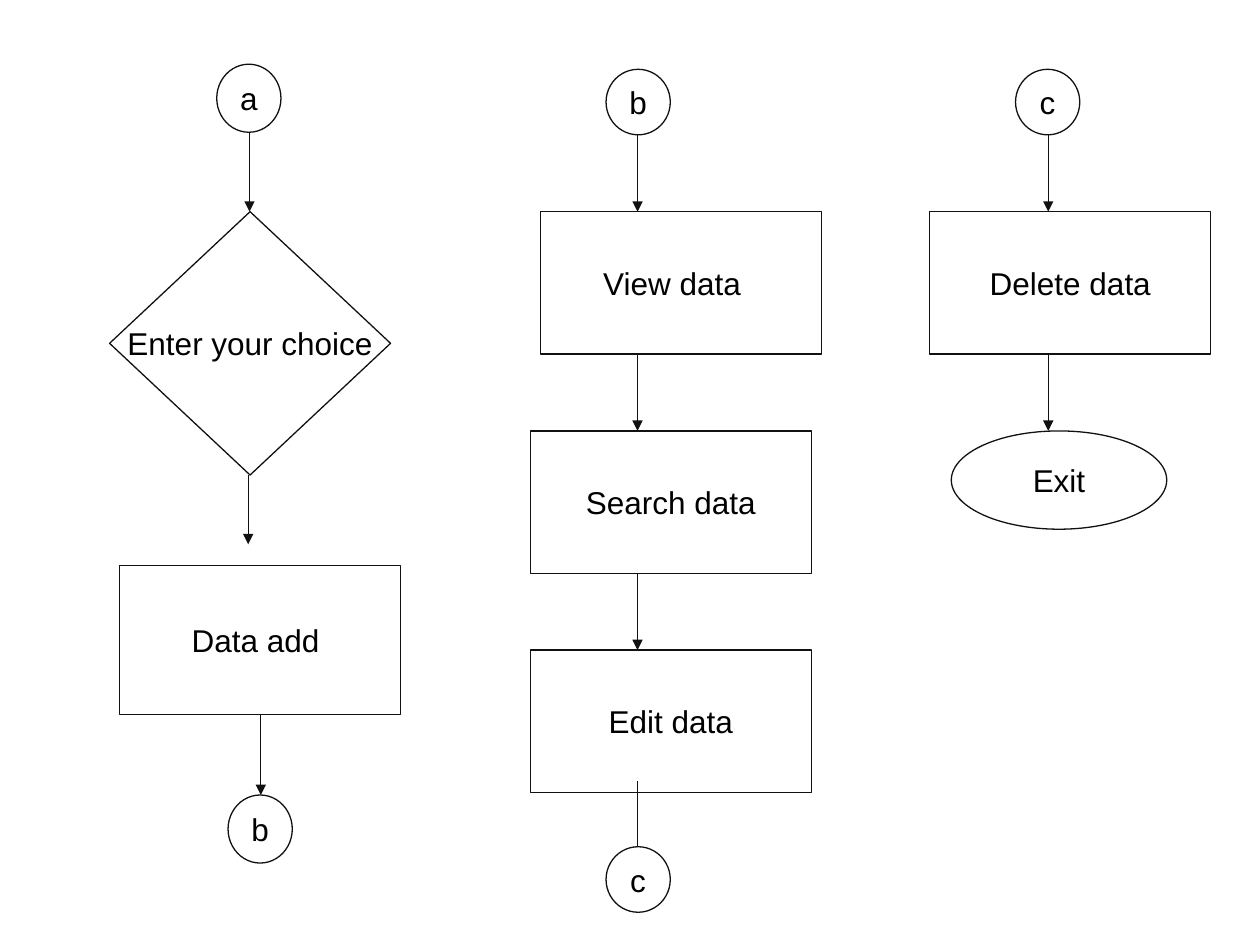
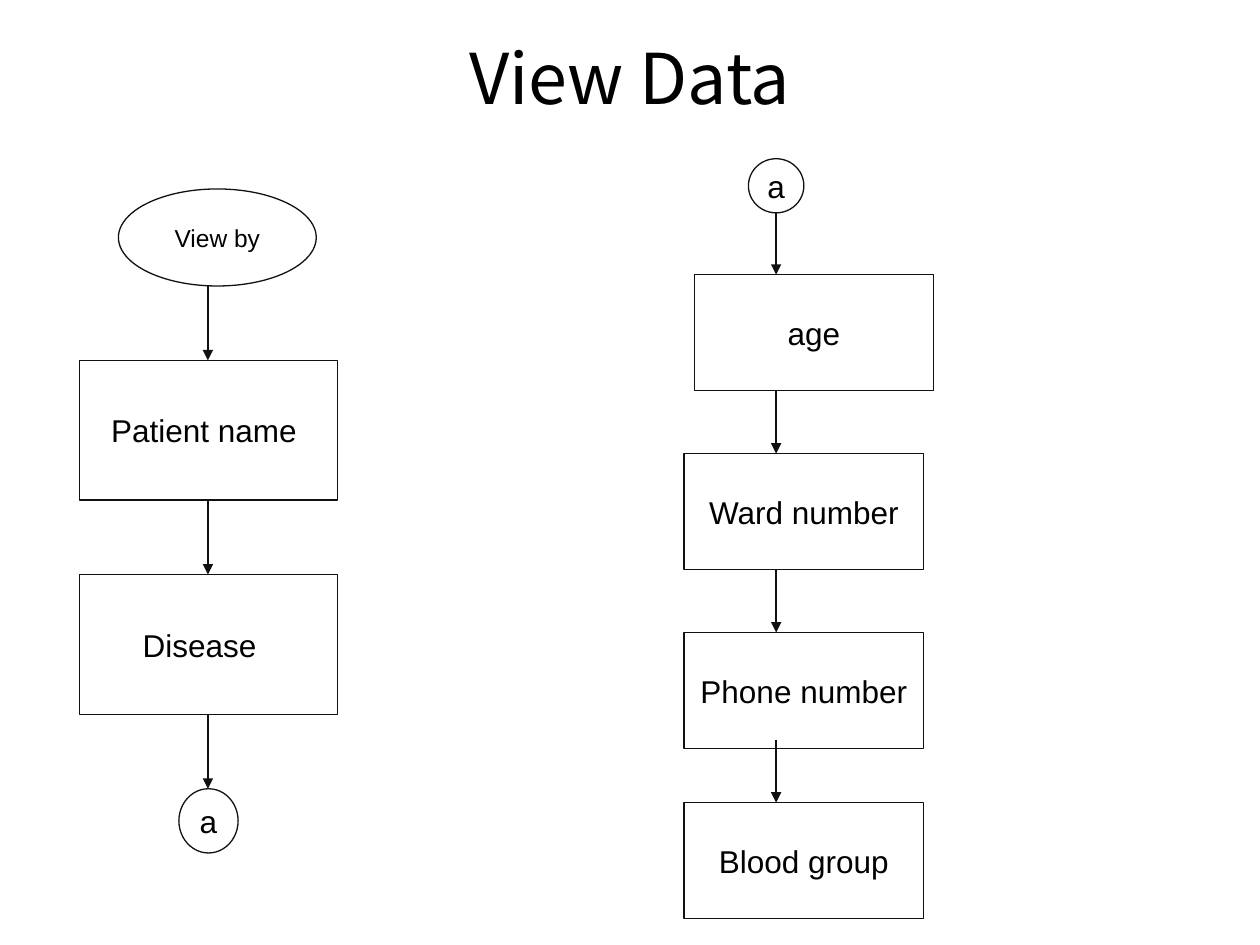
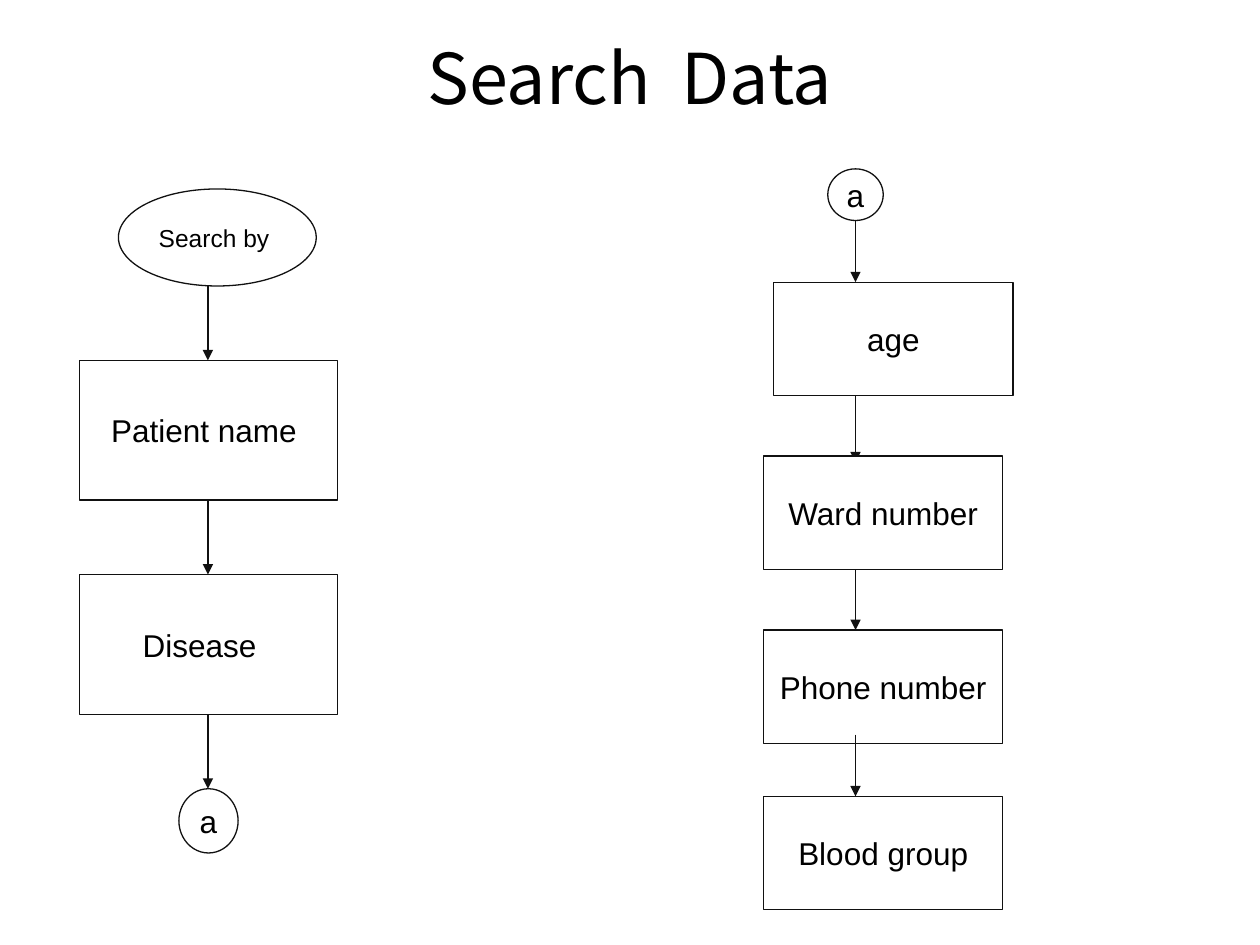
from dataclasses import dataclass

from lxml.etree import SubElement
from pptx import Presentation
from pptx.dml.color import RGBColor
from pptx.enum.shapes import MSO_CONNECTOR, MSO_SHAPE
from pptx.enum.text import MSO_ANCHOR, PP_ALIGN
from pptx.oxml.ns import qn
from pptx.util import Inches, Pt

BOX, OVAL, DIAMOND = MSO_SHAPE.RECTANGLE, MSO_SHAPE.OVAL, MSO_SHAPE.DIAMOND


@dataclass(frozen=True)
class Theme:
    fill: RGBColor = RGBColor(0xFF, 0xFF, 0xFF)
    line: RGBColor = RGBColor(0x11, 0x11, 0x11)
    text: RGBColor = RGBColor(0, 0, 0)
    line_width: float = 0.75
    body_font: str = "Arial"
    title_font: str = "Noto Sans CJK KR"
    title_size: int = 40
    body_size: int = 18
    small_size: int = 14
    inset: float = 0.1


@dataclass
class Step:
    """A flowchart node; the arrow fields adjust the arrow that leads into it."""
    kind: MSO_SHAPE
    text: str
    left: float
    top: float
    width: float
    height: float
    size: int = Theme.body_size
    pad_right: float = 0
    arrow_x: float = 0
    start_shift: float = 0
    tip_shift: float = 0


class Flowchart:
    def __init__(self, prs, theme):
        self.prs, self.theme = prs, theme
        self.slide = None

    def new_slide(self):
        self.slide = self.prs.slides.add_slide(self.prs.slide_layouts[6])

    def label(self, tf, text, font, size):
        tf.vertical_anchor = MSO_ANCHOR.MIDDLE
        p = tf.paragraphs[0]
        p.text = text
        p.alignment = PP_ALIGN.CENTER
        p.font.name, p.font.size = font, Pt(size)
        p.font.color.rgb = self.theme.text

    def title(self, text):
        sp = self.slide.shapes.add_textbox(0, Inches(0.02), self.prs.slide_width, Inches(1.17))
        tf = sp.text_frame
        tf.word_wrap = True
        tf.margin_left = tf.margin_right = tf.margin_top = tf.margin_bottom = 0
        self.label(tf, text, self.theme.title_font, self.theme.title_size)

    def stroke(self, line):
        line.color.rgb = self.theme.line
        line.width = Pt(self.theme.line_width)

    def node(self, step):
        sp = self.slide.shapes.add_shape(
            step.kind, Inches(step.left), Inches(step.top), Inches(step.width), Inches(step.height))
        sp.shadow.inherit = False
        sp.fill.solid()
        sp.fill.fore_color.rgb = self.theme.fill
        self.stroke(sp.line)
        tf = sp.text_frame
        tf.word_wrap = False
        tf.margin_right = Inches(self.theme.inset + step.pad_right)
        self.label(tf, step.text, self.theme.body_font, step.size)

    def arrow(self, x, start, tip):
        c = self.slide.shapes.add_connector(
            MSO_CONNECTOR.STRAIGHT, Inches(x), Inches(start), Inches(x), Inches(tip))
        self.stroke(c.line)
        sp_pr = c._element.spPr
        SubElement(sp_pr.find(qn("a:ln")), qn("a:tailEnd"), type="triangle")
        SubElement(sp_pr, qn("a:effectLst"))

    def flow(self, x, steps):
        """Draw steps downwards, each joined to the one before by an arrow at x."""
        self.node(steps[0])
        for prev, step in zip(steps, steps[1:]):
            self.arrow(step.arrow_x or x,
                       prev.top + prev.height + step.start_shift, step.top + step.tip_shift)
            self.node(step)


def menu_slide(chart):
    chart.new_slide()
    tall, low = (0.51, 0.54), (0.51, 0.52)
    box = (2.23, 1.13)
    chart.flow(1.98, [
        Step(OVAL, "a", 1.72, 0.51, *tall),
        Step(DIAMOND, "Enter your choice", 0.87, 1.68, 2.23, 2.09),
        Step(BOX, "Data add", 0.95, 4.49, 2.23, 1.18, pad_right=0.07,
             arrow_x=1.97, tip_shift=-0.17),
        Step(OVAL, "b", 1.81, 6.31, *tall, arrow_x=2.07),
    ])
    chart.flow(5.06, [
        Step(OVAL, "b", 4.81, 0.55, *low),
        Step(BOX, "View data", 4.29, 1.68, *box, pad_right=0.14),
        Step(BOX, "Search data", 4.21, 3.42, *box),
        Step(BOX, "Edit data", 4.21, 5.16, *box),
        Step(OVAL, "c", 4.81, 6.72, *low, start_shift=-0.09, tip_shift=0.09),
    ])
    chart.flow(8.32, [
        Step(OVAL, "c", 8.06, 0.55, *low),
        Step(BOX, "Delete data", 7.38, 1.68, *box),
        Step(OVAL, "Exit", 7.55, 3.42, 1.71, 0.78),
    ])


def fields_slide(chart, title, start, start_pad, left, circle, age_top, pitch,
                 box_height, blood_top, ward_tip=0):
    """List the patient fields; circle is the top and height of the right-hand connector."""
    chart.new_slide()
    chart.title(title)
    chart.flow(1.65, [
        Step(OVAL, start, 0.94, 1.5, 1.57, 0.77, size=chart.theme.small_size,
             pad_right=start_pad),
        Step(BOX, "Patient name", 0.63, 2.86, 2.05, 1.11, pad_right=0.07),
        Step(BOX, "Disease", 0.63, 4.56, 2.05, 1.11, pad_right=0.14),
        Step(OVAL, "a", 1.42, 6.26, 0.47, 0.51),
    ])
    circle_top, circle_height = circle
    box = (1.9, box_height)
    chart.flow(left + 0.73, [
        Step(OVAL, "a", left + 0.51, circle_top, 0.44, circle_height),
        Step(BOX, "age", left + 0.08, age_top, *box),
        Step(BOX, "Ward number", left, age_top + pitch, *box, tip_shift=ward_tip),
        Step(BOX, "Phone number", left, age_top + 2 * pitch, *box),
        Step(BOX, "Blood group", left, blood_top, *box, start_shift=-0.07),
    ])


def main():
    prs = Presentation()
    prs.slide_width, prs.slide_height = Inches(10), Inches(7.5)
    chart = Flowchart(prs, Theme())
    menu_slide(chart)
    fields_slide(chart, "View Data", "View by", 0, left=5.43, circle=(1.26, 0.43),
                 age_top=2.18, pitch=1.42, box_height=0.92, blood_top=6.37)
    fields_slide(chart, "Search  Data", "Search by", 0.05, left=6.06, circle=(1.34, 0.41),
                 age_top=2.24, pitch=1.38, box_height=0.9, blood_top=6.32, ward_tip=0.05)
    prs.save("out.pptx")


if __name__ == "__main__":
    main()
